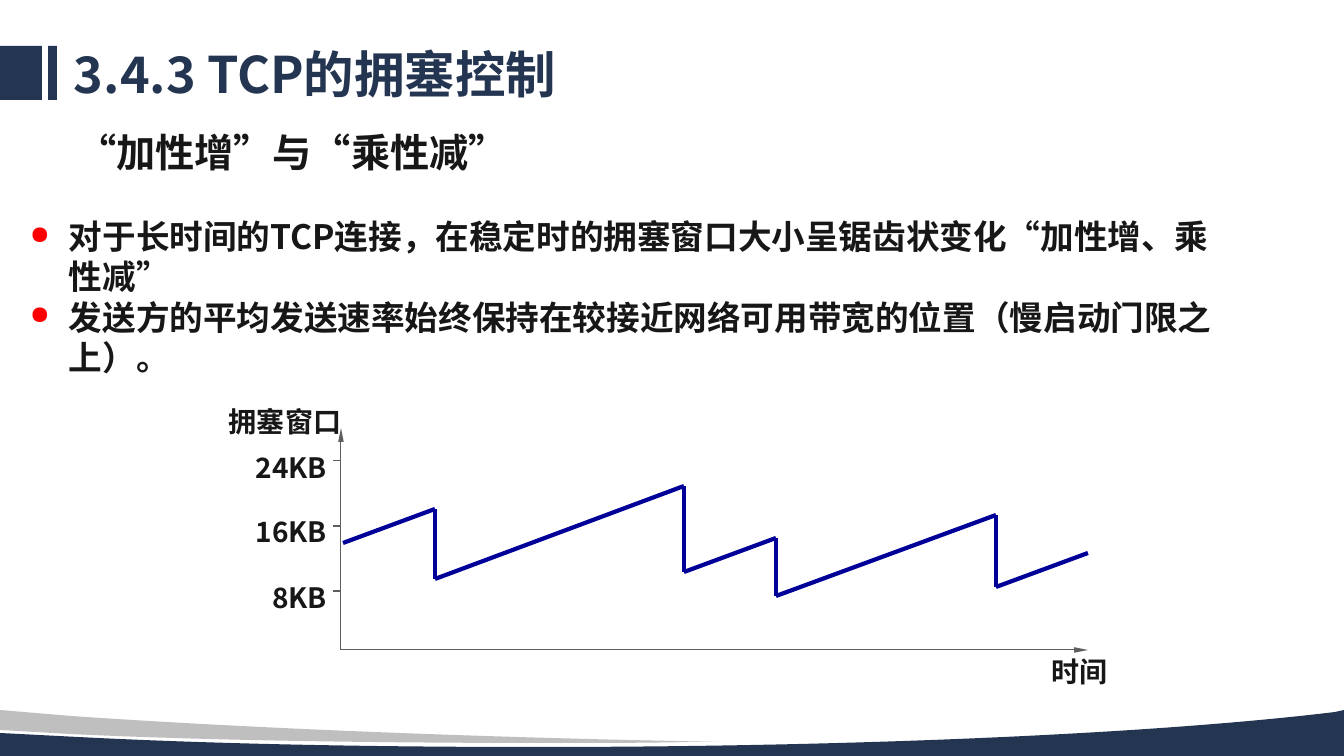
from dataclasses import dataclass
from itertools import pairwise

from lxml.etree import SubElement
from pptx import Presentation
from pptx.dml.color import RGBColor
from pptx.enum.shapes import MSO_CONNECTOR, MSO_SHAPE
from pptx.enum.text import MSO_ANCHOR, PP_ALIGN
from pptx.oxml.ns import qn
from pptx.util import Emu, Pt

WIDTH, HEIGHT = 1344, 756
SCALE = 12192000 / WIDTH
FONT = "Noto Sans CJK JP"
COLORS = {
    "navy": "243551",
    "gray": "BFBFBF",
    "text": "171717",
    "bullet": "FF0000",
    "axis": "5E5E5E",
    "window": "000099",
}
Point = tuple[int, int]


@dataclass
class TextBlock:
    left: int
    top: int
    width: int
    height: int
    paragraphs: list[str]
    size: int
    color: str = "text"
    align: PP_ALIGN = PP_ALIGN.LEFT
    anchor: MSO_ANCHOR = MSO_ANCHOR.TOP
    wrap: bool = True
    line_spacing: float = 1.0
    bulleted: bool = False
    inset: tuple[int, int] = (10, 5)


@dataclass
class Segment:
    start: Point
    end: Point
    color: str = "axis"
    weight: float = 0.75
    arrow: bool = False


@dataclass
class Wave:
    color: str
    start: Point
    steps: list[list[Point]]


def px(value: int) -> Emu:
    return Emu(round(value * SCALE))


def rgb(name: str) -> RGBColor:
    return RGBColor.from_string(COLORS[name])


def paint(sp, color: str) -> None:
    sp.shadow.inherit = False
    sp.fill.solid()
    sp.fill.fore_color.rgb = rgb(color)
    sp.line.fill.background()


def add_bullet(p) -> None:
    pPr = p._p.get_or_add_pPr()
    pPr.set("marL", str(px(39)))
    pPr.set("indent", str(px(-39)))
    color = SubElement(pPr, qn("a:buClr"))
    SubElement(color, qn("a:srgbClr"), val=COLORS["bullet"])
    SubElement(pPr, qn("a:buSzPct"), val="75000")
    SubElement(pPr, qn("a:buChar"), char="●")


def add_text(shapes, block: TextBlock) -> None:
    sp = shapes.add_textbox(px(block.left), px(block.top), px(block.width), px(block.height))
    tf = sp.text_frame
    tf.word_wrap = block.wrap
    tf.vertical_anchor = block.anchor
    tf.margin_left = tf.margin_right = px(block.inset[0])
    tf.margin_top = tf.margin_bottom = px(block.inset[1])
    for i, text in enumerate(block.paragraphs):
        p = tf.add_paragraph() if i else tf.paragraphs[0]
        if block.bulleted:
            add_bullet(p)
        p.alignment = block.align
        p.line_spacing = block.line_spacing
        r = p.add_run()
        r.text = text
        r.font.name = FONT
        r.font.size = Pt(block.size)
        r.font.bold = True
        r.font.color.rgb = rgb(block.color)
        rPr = r._r.get_or_add_rPr()
        rPr.set("lang", "zh-CN")
        SubElement(rPr, qn("a:ea"), typeface=FONT)


def add_segment(shapes, segment: Segment) -> None:
    line = shapes.add_connector(
        MSO_CONNECTOR.STRAIGHT, *map(px, segment.start), *map(px, segment.end)
    )
    line.line.color.rgb = rgb(segment.color)
    line.line.width = Pt(segment.weight)
    if segment.arrow:
        ln = line.line._get_or_add_ln()
        SubElement(ln, qn("a:tailEnd"), type="triangle", w="sm", len="lg")
    SubElement(line._element.spPr, qn("a:effectLst"))


def add_wave(shapes, wave: Wave) -> None:
    builder = shapes.build_freeform(*map(px, wave.start), scale=1.0)
    points = [(px(x), px(y)) for step in wave.steps for x, y in step]
    builder.add_line_segments(points, close=True)
    sp = builder.convert_to_shape()
    paint(sp, wave.color)
    lines = iter(sp._element.findall(".//" + qn("a:lnTo")))
    for step in wave.steps:
        first, *others = [next(lines) for _ in step]
        if others:
            first.tag = qn("a:cubicBezTo")
            for other in others:
                first.append(other[0])
                other.getparent().remove(other)


TITLE_BARS = [(-53, 95), (48, 9)]
WAVES = [
    Wave("navy", (WIDTH, 710), [
        [(WIDTH, HEIGHT)], [(0, HEIGHT)], [(0, 733)], [(78, 737)],
        [(214, 744), (370, 747), (536, 747)],
        [(869, 747), (1162, 733), (1335, 712)],
    ]),
    Wave("gray", (0, 710), [
        [(71, 716)],
        [(231, 727), (420, 735), (627, 740)],
        [(721, 742)], [(689, 742)],
        [(645, 743), (599, 743), (552, 743)],
        [(364, 743), (194, 740), (70, 734)],
        [(0, 730)],
    ]),
]
HEADINGS = [
    TextBlock(64, 45, 1006, 65, ["3.4.3 TCP的拥塞控制"], 36, "navy",
              anchor=MSO_ANCHOR.MIDDLE, line_spacing=0.9),
    TextBlock(20, 211, 1228, 480, [
        "对于长时间的TCP连接，在稳定时的拥塞窗口大小呈锯齿状变化“加性增、乘性减”",
        "发送方的平均发送速率始终保持在较接近网络可用带宽的位置（慢启动门限之上）。",
    ], 24, bulleted=True),
    TextBlock(64, 128, 588, 47, ["“加性增”与“乘性减”"], 28,
              anchor=MSO_ANCHOR.MIDDLE, inset=(13, 7)),
]
AXIS_LABELS = [
    TextBlock(left, top, width, 44, [text], 20, align=align, wrap=False)
    for left, top, width, text, align in [
        (219, 399, 133, "拥塞窗口", PP_ALIGN.LEFT),
        (244, 446, 93, "24KB", PP_ALIGN.RIGHT),
        (244, 509, 93, "16KB", PP_ALIGN.RIGHT),
        (260, 575, 77, "8KB", PP_ALIGN.RIGHT),
        (1042, 649, 77, "时间", PP_ALIGN.LEFT),
    ]
]
ORIGIN = (341, 650)
AXES = [
    Segment(ORIGIN, (341, 428), arrow=True),
    Segment(ORIGIN, (1088, 650), arrow=True),
]
TICKS = [Segment((333, y), (341, y)) for y in range(461, 592, 65)]
WINDOW_SIZES = [
    (343, 543), (435, 509), (435, 579), (684, 486), (684, 572),
    (776, 538), (776, 596), (996, 515), (996, 587), (1088, 553),
]
SAWTOOTH = [Segment(a, b, "window", 3) for a, b in pairwise(WINDOW_SIZES)]


def main() -> None:
    prs = Presentation()
    prs.slide_width, prs.slide_height = px(WIDTH), px(HEIGHT)
    s = prs.slides.add_slide(prs.slide_layouts[6])
    for left, width in TITLE_BARS:
        sp = s.shapes.add_shape(MSO_SHAPE.RECTANGLE, px(left), px(46), px(width), px(54))
        paint(sp, "navy")
    for wave in WAVES:
        add_wave(s.shapes, wave)
    for block in HEADINGS + AXIS_LABELS:
        add_text(s.shapes, block)
    for segment in AXES + TICKS + SAWTOOTH:
        add_segment(s.shapes, segment)
    prs.save("out.pptx")


if __name__ == "__main__":
    main()
